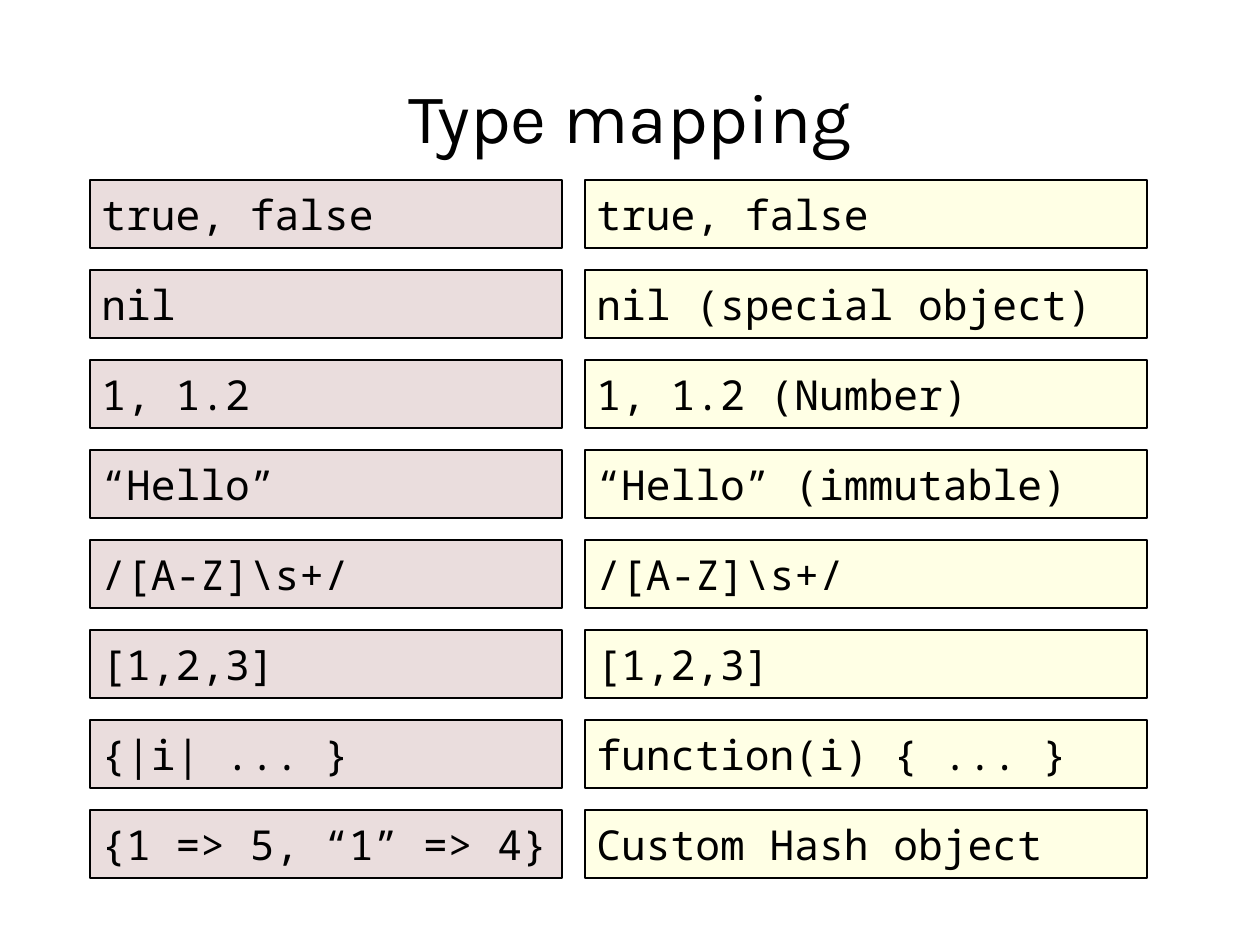
from pptx import Presentation
from pptx.dml.color import RGBColor
from pptx.enum.shapes import MSO_SHAPE
from pptx.enum.text import MSO_ANCHOR, PP_ALIGN
from pptx.oxml.ns import qn
from pptx.util import Pt
from lxml import etree

RECTANGLE = MSO_SHAPE.RECTANGLE
MIDDLE = MSO_ANCHOR.MIDDLE
LEFT, CENTER = PP_ALIGN.LEFT, PP_ALIGN.CENTER

BLACK = RGBColor(0x00, 0x00, 0x00)
ROSE = RGBColor(0xD6, 0xBC, 0xBC)
CREAM = RGBColor(0xFF, 0xFF, 0xCC)

PX = 8000  # EMU per px

# Columns: left, width, fill
COLUMNS = [(90, 472, ROSE), (585, 562, CREAM)]
ROW_TOP, ROW_PITCH, ROW_HEIGHT = 180, 90, 68
TYPE_PAIRS = [
    ("true, false", "true, false"),
    ("nil", "nil (special object)"),
    ("1, 1.2", "1, 1.2 (Number)"),
    ("“Hello”", "“Hello” (immutable)"),
    (r"/[A-Z]\s+/", r"/[A-Z]\s+/"),
    ("[1,2,3]", "[1,2,3]"),
    ("{|i| ... }", "function(i) { ... }"),
    ("{1 => 5, “1” => 4}", "Custom Hash object"),
]


def write(box, text, font_name, size, align):
    frame = box.text_frame
    frame.word_wrap = True
    frame.vertical_anchor = MIDDLE
    para = frame.paragraphs[0]
    para.alignment = align
    span = para.add_run()
    span.text = text
    span.font.name = font_name
    span.font.size = Pt(size)
    span.font.color.rgb = BLACK
    return frame


deck = Presentation()
deck.slide_width, deck.slide_height = 1260 * PX, 945 * PX
page = deck.slides.add_slide(deck.slide_layouts[6])

# Title
title = page.shapes.add_textbox(63 * PX, 43 * PX, 1134 * PX, 146 * PX)
frame = write(title, "Type mapping", "Karla", 44, CENTER)
frame.margin_left = frame.margin_right = 0
frame.margin_top = frame.margin_bottom = 0

# Type pairs, one row each
for row, pair in enumerate(TYPE_PAIRS):
    top = ROW_TOP + row * ROW_PITCH
    for text, (left, width, color) in zip(pair, COLUMNS):
        box = page.shapes.add_shape(
            RECTANGLE, left * PX, top * PX, width * PX, ROW_HEIGHT * PX)
        box.shadow.inherit = False
        box.fill.solid()
        box.fill.fore_color.rgb = color
        # Half-transparent fill
        tint = box.fill._xPr.find(qn("a:solidFill"))[0]
        etree.SubElement(tint, qn("a:alpha"), val="50000")
        box.line.color.rgb = BLACK
        box.line.width = Pt(0)
        write(box, text, "Noto Sans Mono", 26, LEFT)

deck.save("out.pptx")
